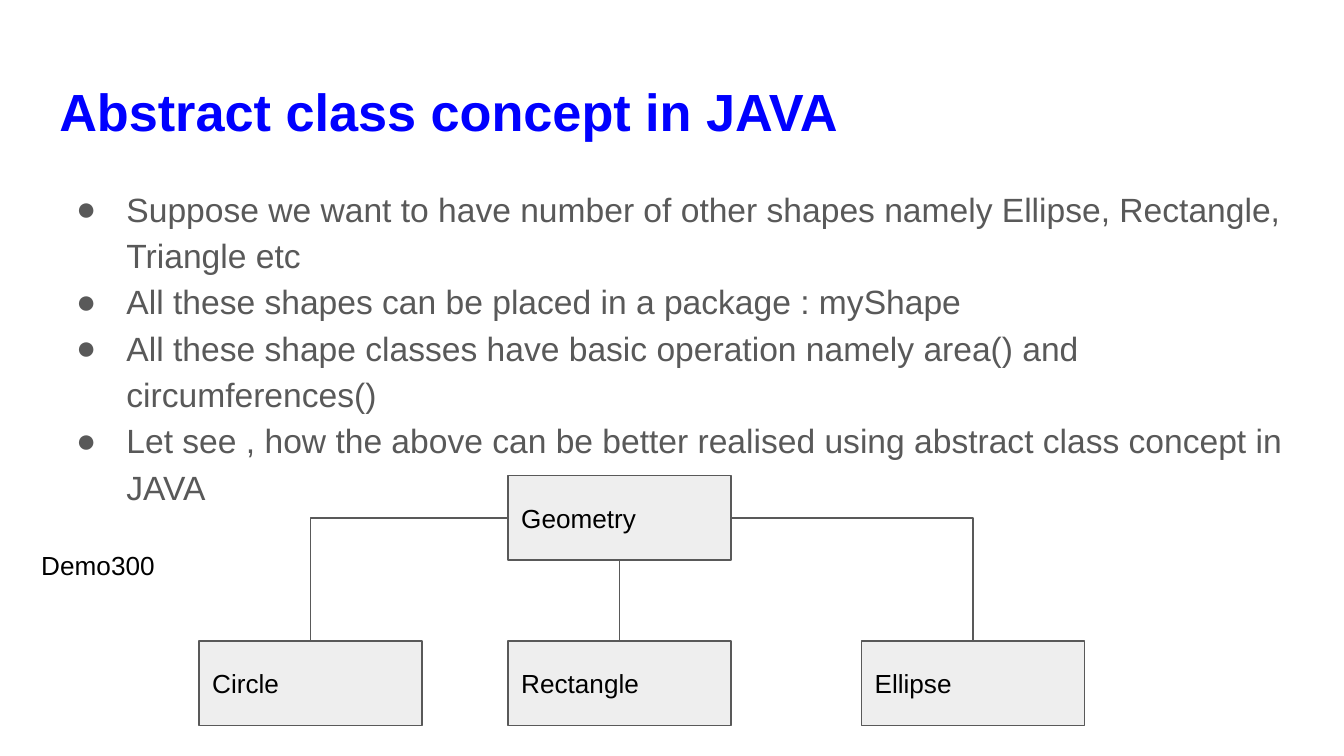
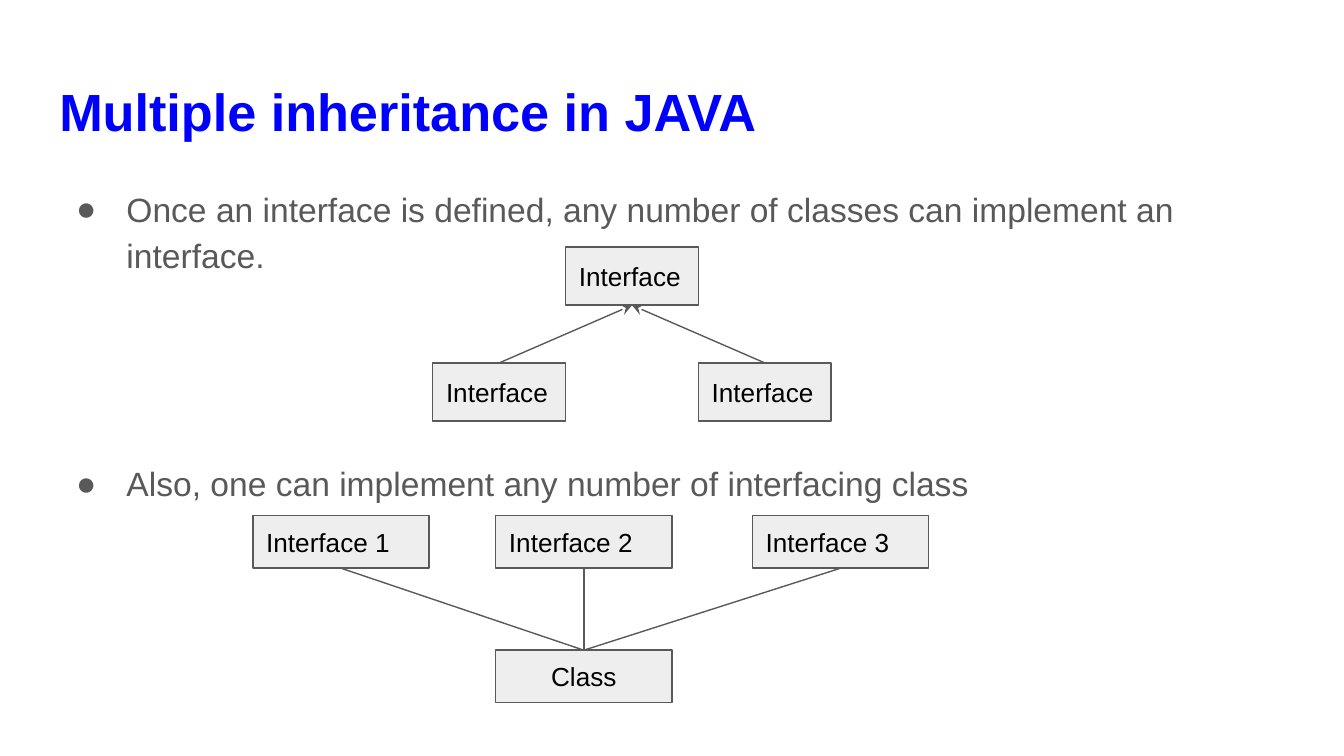
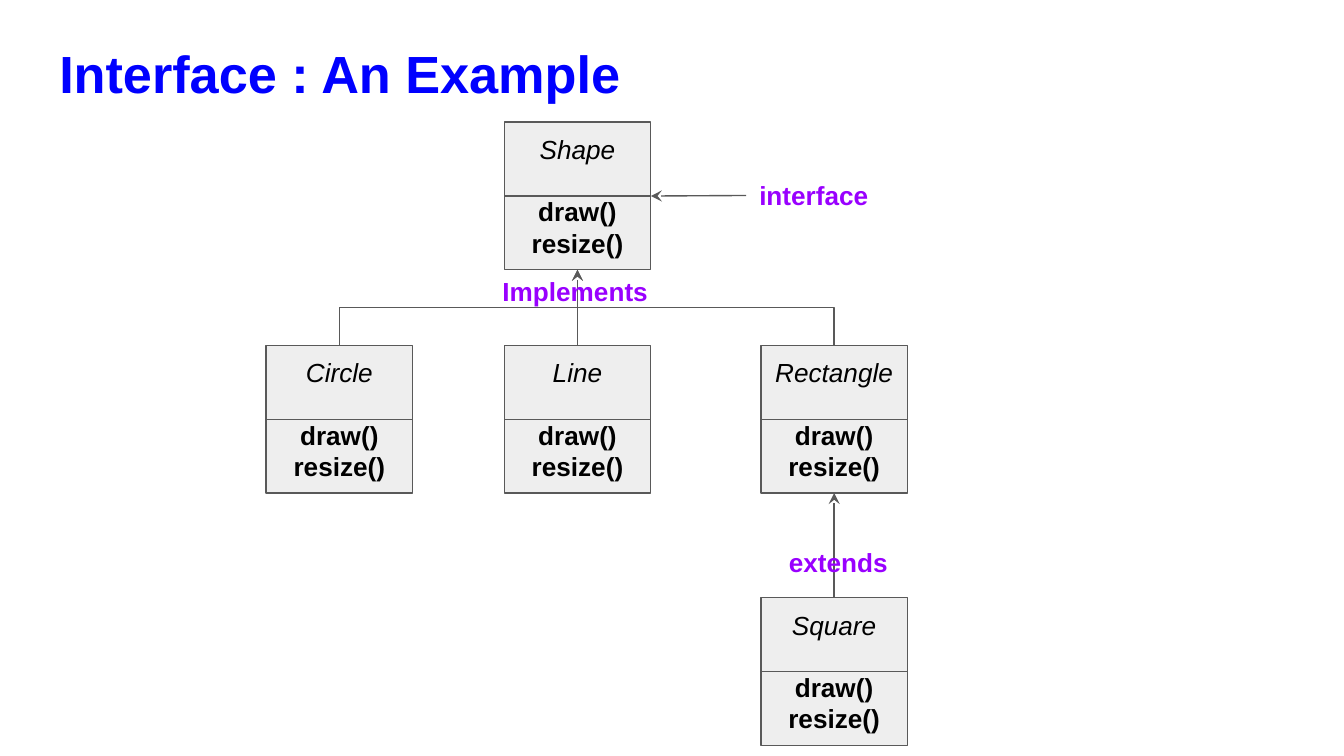
import pptx
import pptx.dml.color
import pptx.enum.shapes
import pptx.enum.text
import pptx.oxml.ns
import pptx.util
from lxml import etree

Cm, Pt = pptx.util.Cm, pptx.util.Pt
qn = pptx.oxml.ns.qn
RGBColor = pptx.dml.color.RGBColor
Align = pptx.enum.text.PP_ALIGN
Anchor = pptx.enum.text.MSO_ANCHOR
Connector = pptx.enum.shapes.MSO_CONNECTOR

BLUE = RGBColor(0x00, 0x00, 0xFF)
GREY = RGBColor(0x59, 0x59, 0x59)
PALE = RGBColor(0xEE, 0xEE, 0xEE)
PURPLE = RGBColor(0x99, 0x00, 0xFF)
BLACK = RGBColor(0x00, 0x00, 0x00)

FONT = "Arial"
LINE_WIDTH = Pt(0.75)
MARGIN_LEFT, CONTENT_WIDTH = 0.87, 23.67
TITLE_AND_LIST, TITLE_ONLY = 1, 5  # layouts
TOP, LEFT, BOTTOM, RIGHT = range(4)  # connection sites of a box


class Deck:
    """Holds the shared style and the slide being built."""

    def __init__(self):
        self.prs = pptx.Presentation()
        self.prs.slide_width, self.prs.slide_height = Cm(25.4), Cm(14.29)
        self.slide = None

    # Text
    def frame(self, shape, anchor=Anchor.TOP):
        frame = shape.text_frame
        frame.word_wrap = True
        frame.auto_size = pptx.enum.text.MSO_AUTO_SIZE.NONE
        frame.vertical_anchor = anchor
        frame.margin_left = frame.margin_right = Cm(0.25)
        frame.margin_top = frame.margin_bottom = Cm(0.25)
        return frame

    def add_text(self, paragraph, text, size=14, color=BLACK, bold=False,
                 italic=False, align=Align.LEFT):
        paragraph.alignment = align
        run = paragraph.add_run()
        run.text = text
        font = run.font
        font.name, font.size, font.color.rgb = FONT, Pt(size), color
        font.bold, font.italic = bold, italic

    def place(self, shape, x, y, width, height):
        shape.left, shape.top = Cm(x), Cm(y)
        shape.width, shape.height = Cm(width), Cm(height)

    def new_slide(self, title, layout=TITLE_AND_LIST, title_top=1.24):
        self.slide = self.prs.slides.add_slide(self.prs.slide_layouts[layout])
        heading = self.slide.shapes.title
        self.place(heading, MARGIN_LEFT, title_top, CONTENT_WIDTH, 1.6)
        self.add_text(self.frame(heading).paragraphs[0], title, 28, BLUE, bold=True)

    def bullets(self, items, height, gap=0):
        body = self.slide.placeholders[1]
        self.place(body, MARGIN_LEFT, 3.2, CONTENT_WIDTH, height)
        frame = self.frame(body)
        for i, item in enumerate(items):
            paragraph = frame.add_paragraph() if i else frame.paragraphs[0]
            props = paragraph._p.get_or_add_pPr()
            props.set("marL", str(Cm(1.27)))
            props.set("indent", str(-Cm(0.95)))
            color = etree.SubElement(props, qn("a:buClr"))
            etree.SubElement(color, qn("a:srgbClr"), val=str(GREY))
            etree.SubElement(props, qn("a:buFont"), typeface=FONT)
            etree.SubElement(props, qn("a:buChar"), char="●")
            paragraph.line_spacing = 1.15
            paragraph.space_before = Pt(gap if i else 0)
            self.add_text(paragraph, item, 18, GREY)

    def label(self, text, x, y, width, height, **style):
        box = self.slide.shapes.add_textbox(Cm(x), Cm(y), Cm(width), Cm(height))
        self.add_text(self.frame(box).paragraphs[0], text, **style)
        return box

    # Boxes
    def panel(self, x, y, width, height):
        panel = self.slide.shapes.add_shape(
            pptx.enum.shapes.MSO_SHAPE.RECTANGLE,
            Cm(x), Cm(y), Cm(width), Cm(height))
        panel.shadow.inherit = False
        panel.fill.solid()
        panel.fill.fore_color.rgb = PALE
        panel.line.color.rgb, panel.line.width = GREY, LINE_WIDTH
        return panel, self.frame(panel, Anchor.MIDDLE)

    def box(self, text, x, y, size, align=Align.LEFT):
        box, frame = self.panel(x, y, *size)
        self.add_text(frame.paragraphs[0], text, align=align)
        return box

    def class_box(self, name, x, y):
        box, frame = self.panel(x, y, 2.77, 2.79)
        self.add_text(frame.paragraphs[0], name, italic=True, align=Align.CENTER)
        for method, gap in (("draw()", 16.6), ("resize()", 0)):
            paragraph = frame.add_paragraph()
            paragraph.space_before = Pt(gap)
            self.add_text(paragraph, method, bold=True, align=Align.CENTER)
        self.line(self.site(box, LEFT), self.site(box, RIGHT))
        return box

    # Lines
    def site(self, box, side):
        across, down = {TOP: (1, 0), LEFT: (0, 1),
                        BOTTOM: (1, 2), RIGHT: (2, 1)}[side]
        return box.left + box.width * across // 2, box.top + box.height * down // 2

    def line(self, start, end, arrow=False, kind=Connector.STRAIGHT):
        line = self.slide.shapes.add_connector(kind, *start, *end)
        line.line.color.rgb, line.line.width = GREY, LINE_WIDTH
        props = line._element.spPr
        if arrow:
            etree.SubElement(props.find(qn("a:ln")), qn("a:tailEnd"), type="stealth")
        etree.SubElement(props, qn("a:effectLst"))
        return line

    def connect(self, source, source_side, target, target_side, arrow=False,
                kind=Connector.STRAIGHT):
        line = self.line(self.site(source, source_side),
                         self.site(target, target_side), arrow, kind)
        line.begin_connect(source, source_side)
        line.end_connect(target, target_side)
        return line

    def elbow(self, source, source_side, target, target_side, arrow=False):
        """Bent line: one corner to a side edge, two corners to a bottom edge."""
        line = self.connect(source, source_side, target, target_side, arrow,
                            Connector.ELBOW)
        props = line._element.spPr
        if BOTTOM not in (source_side, target_side):
            props.find(qn("a:prstGeom")).set("prst", "bentConnector2")
        if source_side == TOP:  # leaves upwards, so the frame is turned
            (x1, y1), (x2, y2) = self.site(source, TOP), self.site(target, target_side)
            width, height = abs(y2 - y1), abs(x2 - x1)
            line.left, line.top = (x1 + x2 - width) // 2, (y1 + y2 - height) // 2
            line.width, line.height = width, height
            frame = props.find(qn("a:xfrm"))
            to_right = x2 > x1
            frame.set("rot", str((270 if to_right else 90) * 60000))
            frame.set("flipH", "0" if to_right else "1")
            frame.set("flipV", "0")


def abstract_class(deck):
    deck.new_slide("Abstract class concept in JAVA")
    deck.bullets([
        "Suppose we want to have number of other shapes namely Ellipse, Rectangle, Triangle etc",
        "All these shapes can be placed in a package : myShape",
        "All these shape classes have basic operation namely area() and circumferences()",
        "Let see , how the above can be better realised using abstract class concept in JAVA",
    ], height=6.43)
    size = (4.22, 1.6)
    geometry = deck.box("Geometry", 9.6, 8.99, size)
    circle, rectangle, ellipse = [
        deck.box(name, x, 12.12, size)
        for name, x in (("Circle", 3.76), ("Rectangle", 9.6), ("Ellipse", 16.28))]
    deck.elbow(circle, TOP, geometry, LEFT)
    deck.elbow(geometry, RIGHT, ellipse, TOP)
    deck.connect(geometry, BOTTOM, rectangle, TOP)
    deck.label("Demo300", 0.53, 10.13, 2.9, 1.17)


def multiple_inheritance(deck):
    deck.new_slide("Multiple inheritance in JAVA")
    deck.bullets([
        "Once an interface is defined, any number of classes can implement an interface.",
        "Also, one can implement any number of interfacing class",
    ], height=9.5, gap=97.5)

    # Interfaces extending an interface
    size = (2.51, 1.1)
    parent_x = 10.69
    parent = deck.box("Interface", parent_x, 4.67, size)
    for x in (parent_x - size[0], parent_x + size[0]):
        child = deck.box("Interface", x, 6.86, size)
        deck.connect(child, TOP, parent, BOTTOM, arrow=True)

    # A class with several interfaces
    size = (3.33, 0.99)
    implementer = deck.box("Class", 9.37, 12.29, size, Align.CENTER)
    for number, x in enumerate((4.78, 9.37, 14.22), start=1):
        interface = deck.box(f"Interface {number}", x, 9.75, size)
        deck.connect(implementer, TOP, interface, BOTTOM)


def interface_example(deck):
    deck.new_slide("Interface : An Example", TITLE_ONLY, title_top=0.53)
    left, middle, right = 5.03, 9.53, 14.38
    shape = deck.class_box("Shape", middle, 2.31)
    circle, straight, rectangle = [
        deck.class_box(name, x, 6.53)
        for name, x in (("Circle", left), ("Line", middle), ("Rectangle", right))]
    square = deck.class_box("Square", right, 11.3)

    # Relations
    for implementer in (circle, rectangle):
        deck.elbow(implementer, TOP, shape, BOTTOM, arrow=True)
    x, y = deck.site(straight, TOP)
    deck.line((x, y), (x, (y + deck.site(shape, BOTTOM)[1]) // 2))
    deck.connect(square, TOP, rectangle, BOTTOM, arrow=True)

    # Labels
    accent = {"color": PURPLE, "bold": True}
    deck.label("Implements ", 8.64, 4.95, 4.6, 0.74, align=Align.CENTER, **accent)
    deck.label("extends", 14.66, 10.08, 2.77, 0.74, **accent)
    interface = deck.label("interface", 14.1, 3.15, 4.75, 1.09, **accent)
    deck.connect(interface, LEFT, shape, RIGHT, arrow=True)


def main():
    deck = Deck()
    abstract_class(deck)
    multiple_inheritance(deck)
    interface_example(deck)
    deck.prs.save("out.pptx")


if __name__ == "__main__":
    main()
